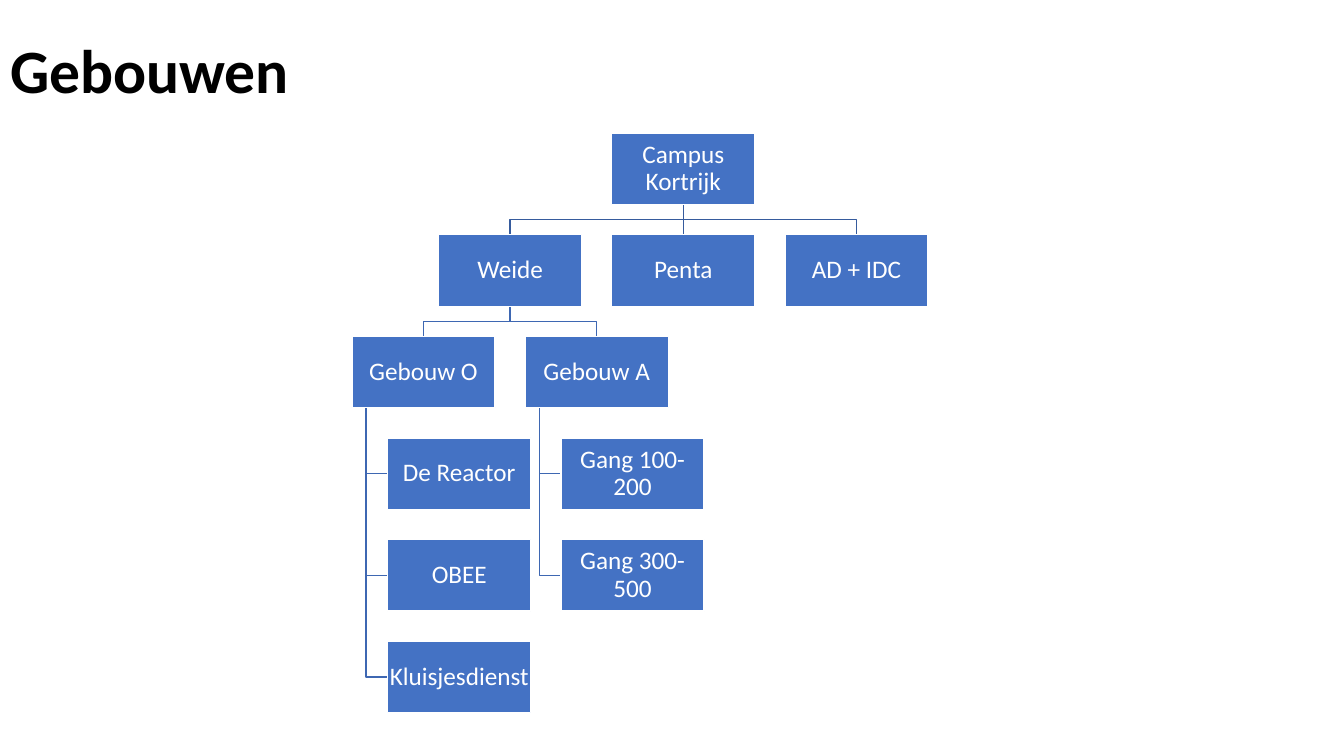
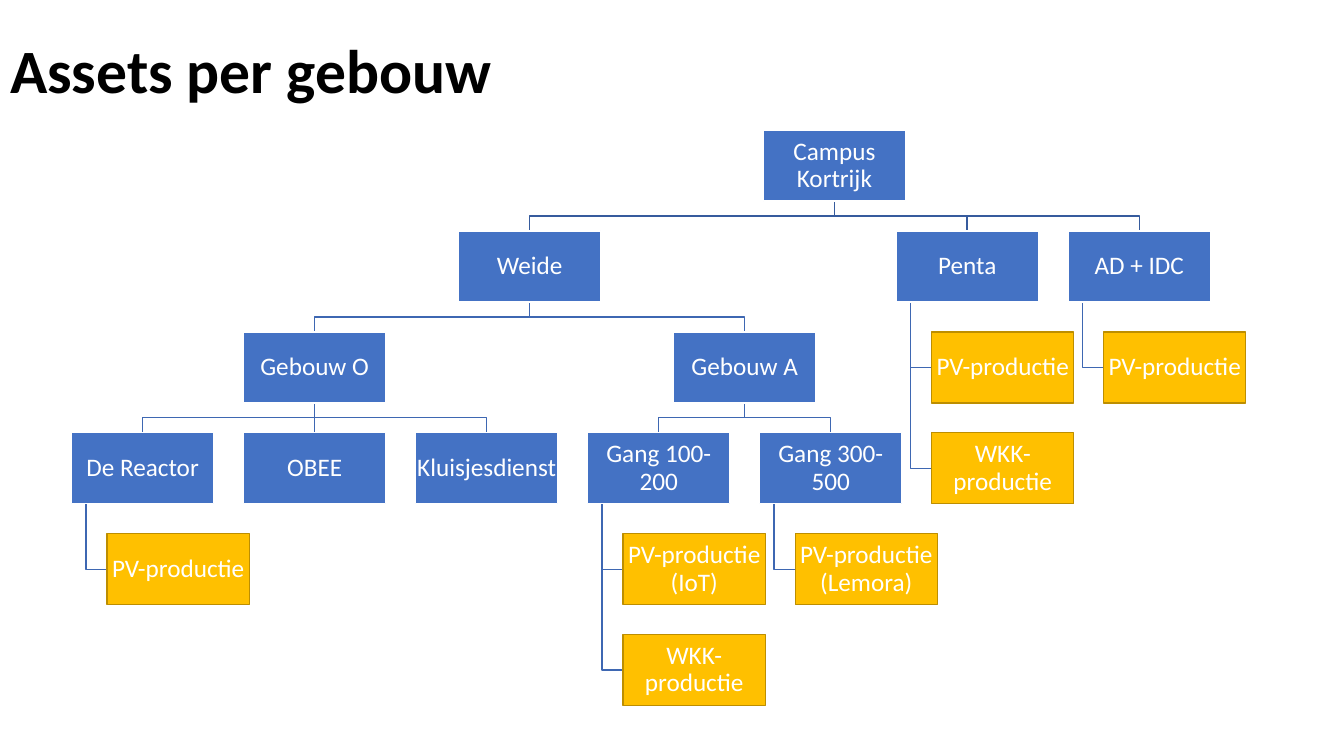
from collections import defaultdict, namedtuple

from lxml import etree
from pptx import Presentation
from pptx.dml.color import RGBColor
from pptx.enum.shapes import MSO_CONNECTOR, MSO_SHAPE
from pptx.enum.text import MSO_ANCHOR, MSO_AUTO_SIZE, PP_ALIGN
from pptx.oxml.ns import qn
from pptx.util import Inches, Pt

Node = namedtuple("Node", "label kids asset", defaults=((), False))
Spot = namedtuple("Spot", "node left row")


def asset(label):
    return Node(label, (), True)


PV = asset("PV-productie")
WKK = asset("WKK-productie")

SITES = Node("Campus Kortrijk", (
    Node("Weide", (
        Node("Gebouw O", (Node("De Reactor"), Node("OBEE"), Node("Kluisjesdienst"))),
        Node("Gebouw A", (Node("Gang 100-200"), Node("Gang 300-500"))),
    )),
    Node("Penta"),
    Node("AD + IDC"),
))

ASSETS = Node("Campus Kortrijk", (
    Node("Weide", (
        Node("Gebouw O", (
            Node("De Reactor", (PV,)), Node("OBEE"), Node("Kluisjesdienst"),
        )),
        Node("Gebouw A", (
            Node("Gang 100-200", (asset("PV-productie (IoT)"), WKK)),
            Node("Gang 300-500", (asset("PV-productie (Lemora)"),)),
        )),
    )),
    Node("Penta", (PV, WKK)),
    Node("AD + IDC", (PV,)),
))

SLIDES = [
    ("Gebouwen", SITES, 3.49, 1.32, 1.42),
    ("Assets per gebouw", ASSETS, 0.71, 1.29, 1.41),
]

FONT = "Calibri"
BLACK = RGBColor(0x00, 0x00, 0x00)
WHITE = RGBColor(0xFF, 0xFF, 0xFF)
BLUE = RGBColor(0x44, 0x72, 0xC4)
GOLD = RGBColor(0xFF, 0xC0, 0x00)
BROWN = RGBColor(0xBD, 0x8E, 0x00)
NAVY = RGBColor(0x36, 0x5B, 0x9D)
STEEL = RGBColor(0x3E, 0x67, 0xB2)

RECT = MSO_SHAPE.RECTANGLE
STRAIGHT = MSO_CONNECTOR.STRAIGHT
MIDDLE = MSO_ANCHOR.MIDDLE
FIXED = MSO_AUTO_SIZE.NONE
LEFT = PP_ALIGN.LEFT
CENTER = PP_ALIGN.CENTER


def write(shape, text, size, color, align, bold=False):
    frame = shape.text_frame
    frame.word_wrap = True
    frame.auto_size = FIXED
    frame.vertical_anchor = MIDDLE
    para = frame.paragraphs[0]
    para.alignment = align
    para.line_spacing = 0.9
    run = para.add_run()
    run.text = text
    font = run.font
    font.name, font.size, font.bold = FONT, Pt(size), bold
    font.color.rgb = color


def add_title(slide, text):
    title = slide.shapes.title
    title.left, title.top = Inches(0), Inches(0)
    title.width, title.height = Inches(11.5), Inches(1.45)
    write(title, text, 44, BLACK, LEFT, True)


class Chart:
    def __init__(self, slide, left, top, width):
        self.shapes = slide.shapes
        self.top, self.width = top, width
        self.height = width / 2
        self.gap = width * 0.21
        self.pitch = self.height + self.gap
        self.edges = defaultdict(lambda: left)
        self.spots, self.links = [], []

    def place(self, node, row=0):
        hangs = not any(kid.kids for kid in node.kids)
        if hangs:
            rows = range(row + 1, row + 1 + len(node.kids))
            indent = self.width / 4
            left = max([self.edges[row]] + [self.edges[r] - indent for r in rows])
            kids = [self.settle(kid, left + indent, r) for kid, r in zip(node.kids, rows)]
        else:
            kids = [self.place(kid, row + 1) for kid in node.kids]
            left = (kids[0].left + kids[-1].left) / 2
        spot = self.settle(node, left, row)
        self.links += [(spot, kid, hangs) for kid in kids]
        return spot

    def settle(self, node, left, row):
        spot = Spot(node, left, row)
        self.spots.append(spot)
        self.edges[row] = left + self.width + self.gap
        return spot

    def y(self, spot):
        return self.top + spot.row * self.pitch

    def link(self, boss, kid, hangs):
        start, end = self.y(boss) + self.height, self.y(kid)
        if hangs:
            x, mid = boss.left + self.width / 10, end + self.height / 2
            points = [(x, start), (x, mid), (kid.left, mid)]
        else:
            x, to = boss.left + self.width / 2, kid.left + self.width / 2
            mid = start + self.gap / 2
            points = [(x, start), (x, mid), (to, mid), (to, end)]
            if abs(x - to) < 0.01:
                points = [(x, start), (x, end)]
        points = [(Inches(px), Inches(py)) for px, py in points]
        if len(points) == 2:
            line = self.shapes.add_connector(STRAIGHT, *points[0], *points[1])
            etree.SubElement(line._element.spPr, qn("a:effectLst"))
        else:
            path = self.shapes.build_freeform(*points[0])
            path.add_line_segments(points[1:], close=False)
            line = path.convert_to_shape()
            line.fill.background()
            line.shadow.inherit = False
        line.line.color.rgb = STEEL if boss.row else NAVY
        line.line.width = Pt(1)

    def box(self, spot):
        shape = self.shapes.add_shape(
            RECT, Inches(spot.left), Inches(self.y(spot)),
            Inches(self.width), Inches(self.height))
        shape.shadow.inherit = False
        shape.fill.solid()
        shape.fill.fore_color.rgb = GOLD if spot.node.asset else BLUE
        shape.line.color.rgb = BROWN if spot.node.asset else WHITE
        shape.line.width = Pt(1)
        frame = shape.text_frame
        frame.margin_left = frame.margin_right = Inches(0.01)
        frame.margin_top = frame.margin_bottom = Inches(0.01)
        write(shape, spot.node.label, 18, WHITE, CENTER)

    def draw(self, root):
        self.place(root)
        for link in self.links:
            self.link(*link)
        for spot in self.spots:
            self.box(spot)


deck = Presentation()
deck.slide_width, deck.slide_height = Inches(13.33), Inches(7.5)
for text, root, left, top, width in SLIDES:
    slide = deck.slides.add_slide(deck.slide_layouts[5])
    add_title(slide, text)
    Chart(slide, left, top, width).draw(root)
deck.save("out.pptx")
